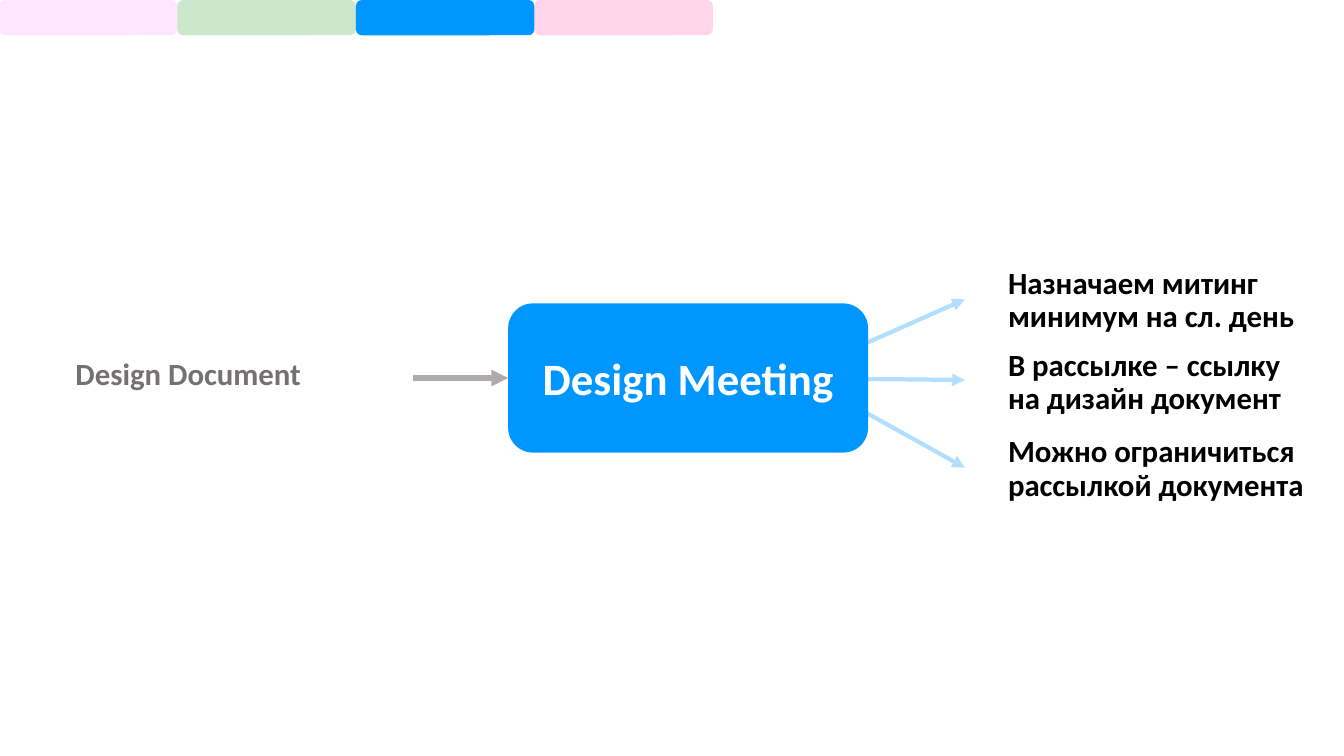
from lxml.etree import SubElement
from pptx import Presentation
from pptx.dml.color import RGBColor
from pptx.enum.shapes import MSO_CONNECTOR, MSO_SHAPE
from pptx.enum.text import MSO_ANCHOR, PP_ALIGN
from pptx.oxml.ns import qn
from pptx.util import Inches, Pt

COLORS = {
    "blue": "0096FF",
    "violet": "FF85FF",
    "green": "008F00",
    "pink": "FF2F92",
    "arrow_gray": "AFABAB",
    "text_gray": "767171",
    "white": "FFFFFF",
    "black": "000000",
}
TABS = [("violet", 20), ("green", 20), ("blue", 100), ("pink", 20)]
OUTCOMES = [
    ("Назначаем митинг\nминимум на сл. день", 2.61, 3.4, 2.97),
    ("В рассылке – ссылку на дизайн документ", 3.42, 3.76, 3.77),
    ("Можно ограничиться\nрассылкой документа", 4.28, 4.1, 4.64),
]


def paint(fill, color, opacity=100):
    fill.solid()
    fill.fore_color.rgb = RGBColor.from_string(COLORS[color])
    if opacity < 100:
        color_element = fill._xPr.find(qn("a:solidFill"))[0]
        SubElement(color_element, qn("a:alpha"), val=str(opacity * 1000))


def add_block(slide, left, top, width, height, color, opacity=100):
    block = slide.shapes.add_shape(
        MSO_SHAPE.ROUNDED_RECTANGLE,
        Inches(left), Inches(top), Inches(width), Inches(height))
    block.shadow.inherit = False
    paint(block.fill, color, opacity)
    block.line.fill.background()
    return block


def write(shape, text, size, color, anchor, align=PP_ALIGN.LEFT):
    frame = shape.text_frame
    frame.word_wrap = True
    frame.vertical_anchor = anchor
    para = frame.paragraphs[0]
    para.text = text
    para.alignment = align
    for span in para.runs:
        span.font.name = "Calibri"
        span.font.size = Pt(size)
        span.font.bold = True
        span.font.color.rgb = RGBColor.from_string(COLORS[color])
    return para


def add_label(slide, text, left, top, width, height, color, anchor):
    box = slide.shapes.add_textbox(
        Inches(left), Inches(top), Inches(width), Inches(height))
    para = write(box, text, 22, color, anchor)
    para.line_spacing = 0.9
    para.space_after = Pt(6)


def add_arrow(slide, start, end, color, width, opacity=100):
    arrow = slide.shapes.add_connector(
        MSO_CONNECTOR.STRAIGHT, *[Inches(value) for value in start + end])
    arrow.line.width = Pt(width)
    paint(arrow.line.fill, color, opacity)
    SubElement(arrow.line._get_or_add_ln(), qn("a:tailEnd"), type="triangle")
    SubElement(arrow._element.spPr, qn("a:effectLst"))


def add_tabs(slide, left, top, width, height):
    for index, (color, opacity) in enumerate(TABS):
        add_block(slide, left + index * width, top, width, height, color, opacity)


def add_meeting(slide, left, top, width, height):
    block = add_block(slide, left, top, width, height, "blue")
    write(block, "Design Meeting", 32, "white", MSO_ANCHOR.MIDDLE, PP_ALIGN.CENTER)


def add_document(slide, left, top, width, height, arrow_start, arrow_end):
    add_label(slide, "Design Document", left, top, width, height,
              "text_gray", MSO_ANCHOR.BOTTOM)
    middle = top + 0.25
    add_arrow(slide, (arrow_start, middle), (arrow_end, middle), "arrow_gray", 4)


def add_outcomes(slide, left, width, height, arrow_start, arrow_end):
    for text, top, start, end in OUTCOMES:
        add_label(slide, text, left, top, width, height, "black", MSO_ANCHOR.TOP)
        add_arrow(slide, (arrow_start, start), (arrow_end, end), "blue", 3, 30)


def main():
    deck = Presentation()
    deck.slide_width = Inches(13.33)
    deck.slide_height = Inches(7.5)
    page = deck.slides.add_slide(deck.slide_layouts[6])
    add_meeting(page, 5.04, 3.01, 3.57, 1.48)
    add_tabs(page, -0.01, 0, 1.77, 0.35)
    add_document(page, 0.65, 3.5, 2.52, 0.44, 4.1, 5.04)
    add_outcomes(page, 9.9, 3.24, 0.7, 8.6, 9.57)
    deck.save("out.pptx")


if __name__ == "__main__":
    main()
